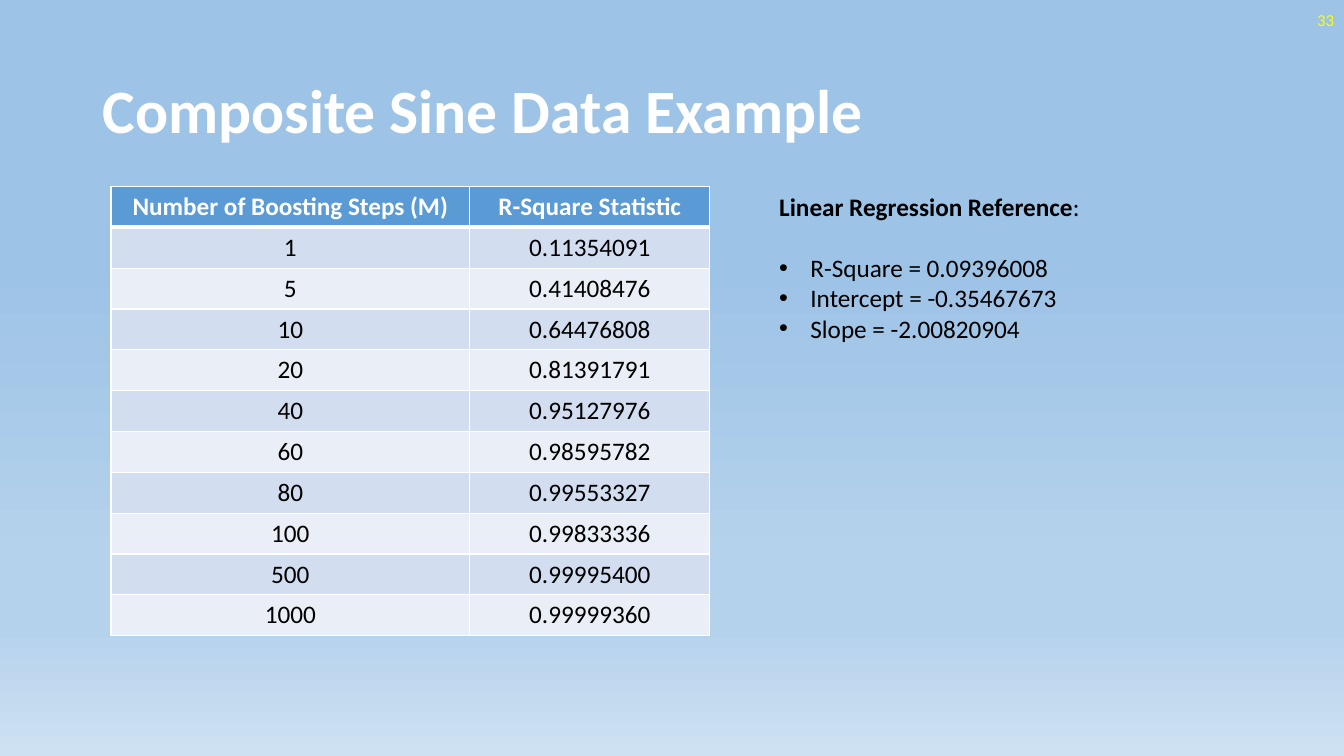
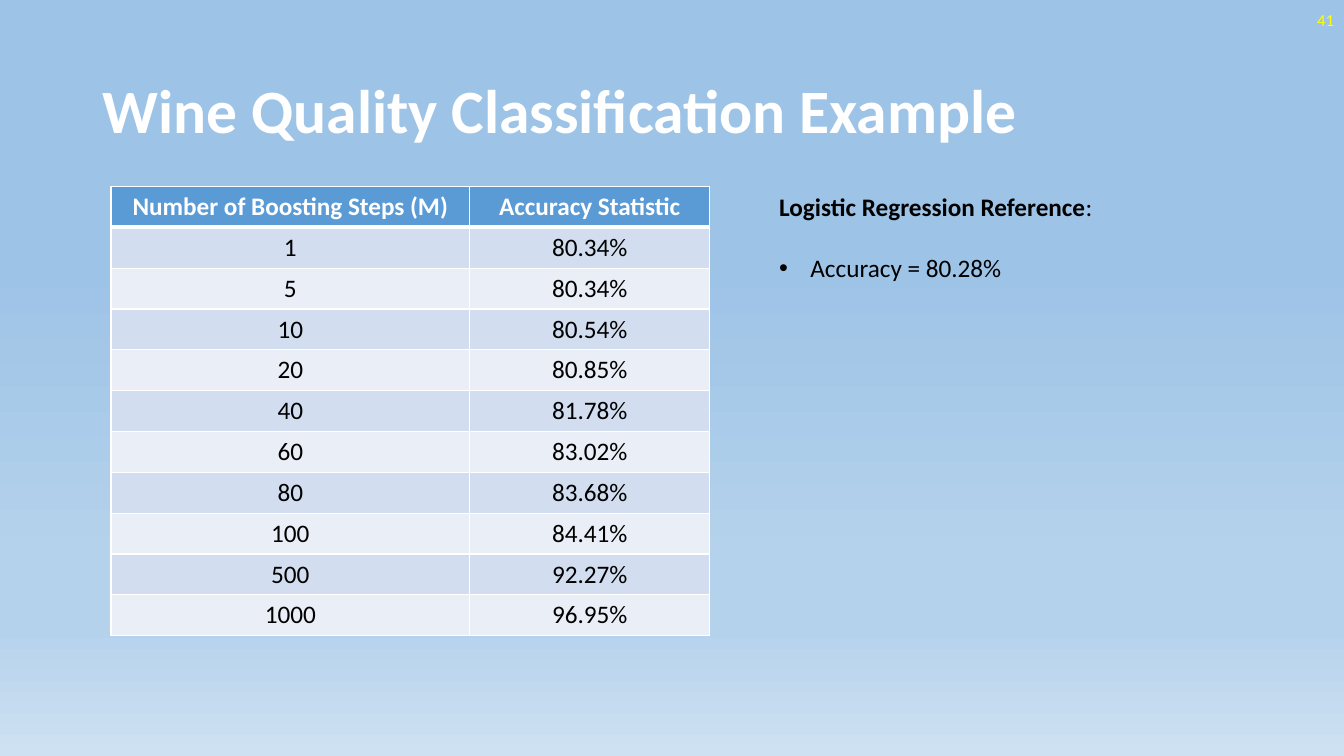
from pptx import Presentation
from pptx.dml.color import RGBColor as Color
from pptx.enum.text import MSO_ANCHOR as Anchor, PP_ALIGN as Align
from pptx.oxml.ns import qn
from pptx.util import Inches, Pt
from lxml.etree import SubElement as Sub

STEPS = [1, 5, 10, 20, 40, 60, 80, 100, 500, 1000]
SQUARES = ["0.11354091", "0.41408476", "0.64476808", "0.81391791", "0.95127976",
           "0.98595782", "0.99553327", "0.99833336", "0.99995400", "0.99999360"]
RATES = ["80.34%", "80.34%", "80.54%", "80.85%", "81.78%",
         "83.02%", "83.68%", "84.41%", "92.27%", "96.95%"]


def rgb(code):
    return Color.from_string(code)


class Deck:
    FONT = "Calibri"
    WHITE, BLACK, YELLOW = "FFFFFF", "000000", "FFFF00"
    HEAD, BANDS = "5B9BD5", ("EAEFF7", "D2DEEF")
    SKY = [(35, "9DC3E6"), (74, "B5D2EC"), (83, "B5D2EC"), (100, "CEE1F2")]
    TOP = 1.85

    def __init__(self):
        self.prs = Presentation()
        self.prs.slide_width, self.prs.slide_height = Inches(13.33), Inches(7.5)
        self.slide = None
        self.paint()

    def paint(self):
        master = self.prs.slide_master
        fill = master.background.fill
        fill.gradient()
        fill.gradient_angle = 270
        stops = master.element.find(".//" + qn("a:gsLst"))
        stops.clear()
        for spot, code in self.SKY:
            stop = Sub(stops, qn("a:gs"), pos=str(spot * 1000))
            Sub(stop, qn("a:srgbClr"), val=code)

    def style(self, run, size, code, bold=False):
        font = run.font
        font.name, font.size, font.bold = self.FONT, Pt(size), bold
        font.color.rgb = rgb(code)

    def box(self, left, top, width, height, anchor=Anchor.TOP):
        shape = self.slide.shapes.add_textbox(
            Inches(left), Inches(top), Inches(width), Inches(height))
        frame = shape.text_frame
        frame.word_wrap = True
        frame.vertical_anchor = anchor
        return frame

    def start(self, title, number):
        self.slide = self.prs.slides.add_slide(self.prs.slide_layouts[6])
        frame = self.box(0.92, 0.4, 11.5, 1.45, Anchor.MIDDLE)
        frame.text = title
        para = frame.paragraphs[0]
        para.line_spacing = 0.9
        self.style(para.runs[0], 44, self.WHITE, True)
        frame = self.box(10.33, 0, 3, 0.4, Anchor.MIDDLE)
        frame.text = str(number)
        para = frame.paragraphs[0]
        para.alignment = Align.RIGHT
        self.style(para.runs[0], 12, self.YELLOW)

    def edge(self, cell, side, width):
        props = cell._tc.get_or_add_tcPr()
        line = Sub(props, qn("a:ln" + side), w=str(Pt(width)))
        Sub(Sub(line, qn("a:solidFill")), qn("a:srgbClr"), val=self.WHITE)

    def table(self, label, values):
        rows = [("Number of Boosting Steps (M)", label), *zip(STEPS, values)]
        widths = (3.56, 2.38)
        grid = self.slide.shapes.add_table(
            len(rows), len(widths), Inches(1.1), Inches(self.TOP),
            Inches(sum(widths)), Inches(4.46)).table
        for col, width in zip(grid.columns, widths):
            col.width = Inches(width)
        for r, row in enumerate(rows):
            for c, value in enumerate(row):
                self.cell(grid.cell(r, c), str(value), r)

    def cell(self, cell, value, row):
        head = row == 0
        thick = {(0, "B"), (1, "T")}
        for side in "LRTB":
            self.edge(cell, side, 3 if (row, side) in thick else 1)
        cell.fill.solid()
        cell.fill.fore_color.rgb = rgb(self.HEAD if head else self.BANDS[row % 2])
        cell.text_frame.text = value
        para = cell.text_frame.paragraphs[0]
        para.alignment = Align.CENTER
        self.style(para.runs[0], 18, self.WHITE if head else self.BLACK, head)

    def notes(self, label, items):
        frame = self.box(7.63, self.TOP, 3.5, 0.71 + 0.3 * len(items))
        frame.text = label
        para = frame.paragraphs[0]
        para.space_after = Pt(22)
        self.style(para.runs[0], 18, self.BLACK, True)
        colon = para.add_run()
        colon.text = ":"
        self.style(colon, 18, self.BLACK)
        for item in items:
            para = frame.add_paragraph()
            para.text = item
            self.style(para.runs[0], 18, self.BLACK)
            self.bullet(para)

    def bullet(self, para):
        props = para._p.get_or_add_pPr()
        dent = Inches(0.31)
        props.set("marL", str(dent))
        props.set("indent", str(-dent))
        Sub(props, qn("a:buFont"), typeface="Arial")
        Sub(props, qn("a:buChar"), char="•")


def main():
    deck = Deck()
    deck.start("Composite Sine Data Example", 33)
    deck.table("R-Square Statistic", SQUARES)
    deck.notes("Linear Regression Reference", [
        "R-Square = 0.09396008", "Intercept = -0.35467673", "Slope = -2.00820904"])

    deck.start("Wine Quality Classification Example", 41)
    deck.table("Accuracy Statistic", RATES)
    deck.notes("Logistic Regression Reference", ["Accuracy = 80.28%"])
    deck.prs.save("out.pptx")


if __name__ == "__main__":
    main()
